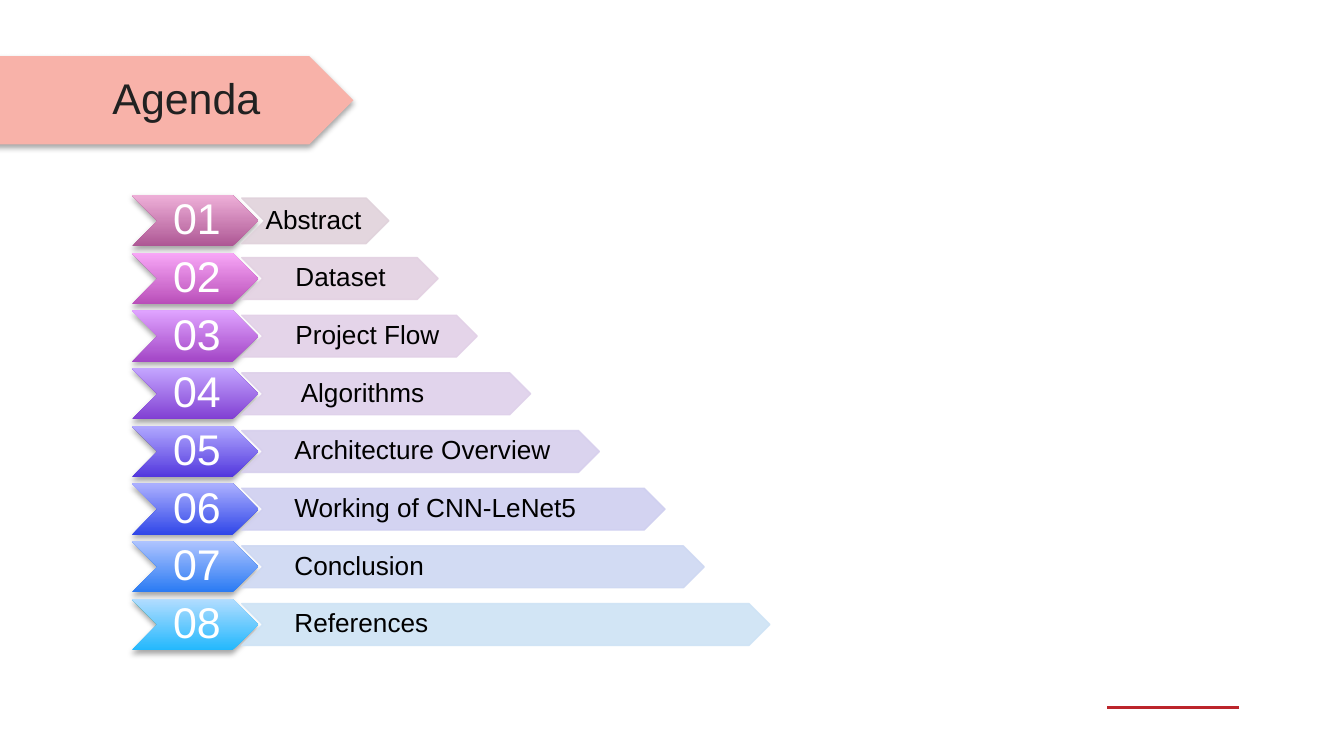
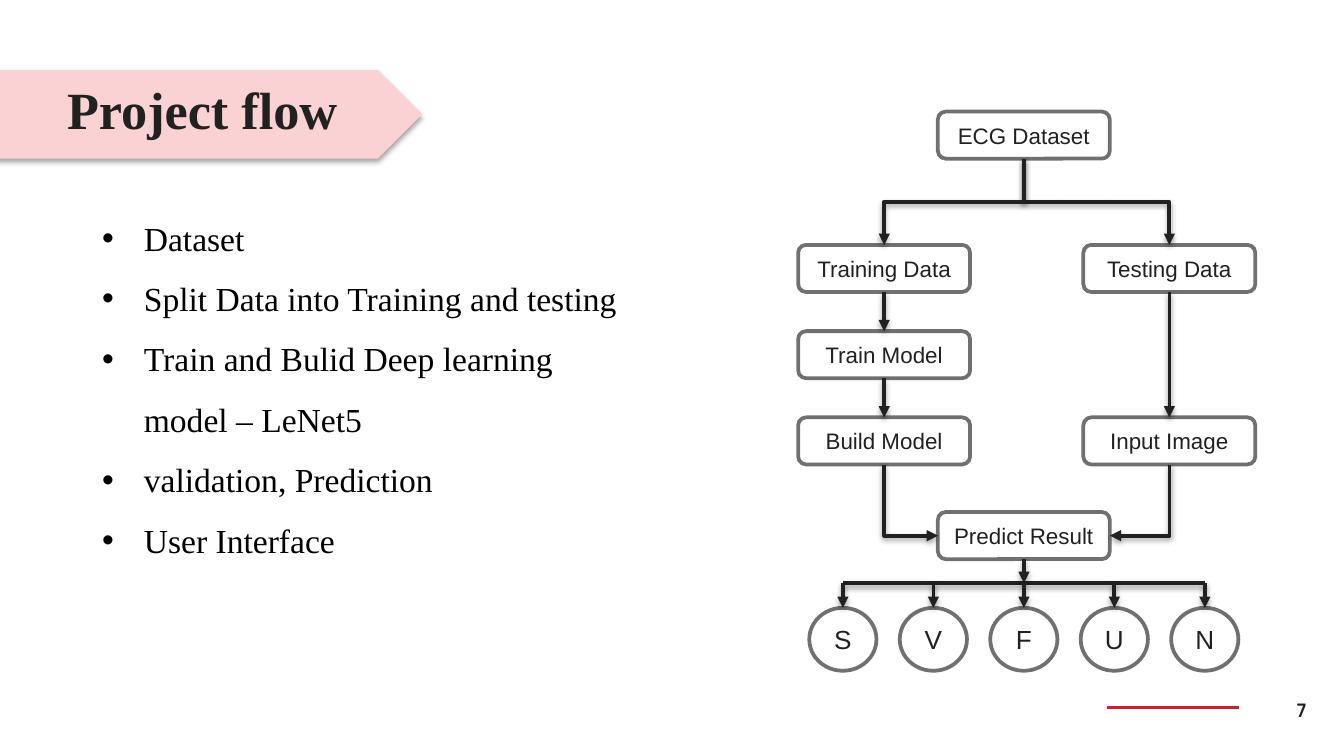
from dataclasses import dataclass

from lxml import etree
from pptx import Presentation
from pptx.dml.color import RGBColor
from pptx.enum.shapes import MSO_CONNECTOR, MSO_SHAPE
from pptx.enum.text import MSO_ANCHOR, PP_ALIGN
from pptx.oxml.ns import qn
from pptx.util import Cm, Pt

CHEVRON = MSO_SHAPE.CHEVRON
STEP = MSO_SHAPE.FLOWCHART_ALTERNATE_PROCESS
DISC = MSO_SHAPE.FLOWCHART_CONNECTOR
STRAIGHT, ELBOW = MSO_CONNECTOR.STRAIGHT, MSO_CONNECTOR.ELBOW
LEFT, CENTER, RIGHT = PP_ALIGN.LEFT, PP_ALIGN.CENTER, PP_ALIGN.RIGHT
TOP, MIDDLE = MSO_ANCHOR.TOP, MSO_ANCHOR.MIDDLE


@dataclass(frozen=True)
class Theme:
    ink: str = "212121"
    black: str = "000000"
    white: str = "FFFFFF"
    edge: str = "707070"
    rule: str = "BC252B"
    coral: str = "F8B2A9"
    pink: str = "FBD2D3"
    sans: str = "Arial"
    serif: str = "Times New Roman"
    page: str = "Manrope"
    head: int = 28
    num: int = 23
    body: int = 18
    label: int = 14
    node: int = 12
    foot: int = 10


T = Theme()

# Content: label, bar width, bar height, text inset, dark, light, bar colour
AGENDA = [
    ("Abstract", 2.78, 0.86, 0.02, "AD5794", "EEAFD8", "E0D2DB"),
    ("Dataset", 3.71, 0.79, 0.62, "B94FB9", "F8A7F7", "E3D1E2"),
    ("Project Flow", 4.45, 0.79, 0.62, "A346C6", "DFA3FF", "E2D0E7"),
    ("Algorithms", 5.46, 0.79, 0.72, "803ED2", "C4A6FF", "DED0EA"),
    ("Architecture Overview", 6.76, 0.79, 0.6, "5237DD", "B1A9FF", "D7CFED"),
    ("Working of CNN-LeNet5", 8.0, 0.79, 0.6, "3046E8", "ACB1FF", "CFCFF0"),
    ("Conclusion", 8.74, 0.79, 0.6, "297AF3", "AFC4FF", "CED8F2"),
    ("References", 9.98, 0.79, 0.6, "23B8FD", "B3DDFF", "CEE3F5"),
]
POINTS = [
    "Dataset",
    "Split Data into Training and testing",
    "Train and Bulid Deep learning model – LeNet5",
    "validation, Prediction",
    "User Interface",
]
# Flow steps: name, centre x, top
COL_A, MID, COL_B = 16.71, 19.35, 22.1
STEPS = [
    ("ECG Dataset", MID, 2.11),
    ("Training Data", COL_A, 4.63),
    ("Testing Data", COL_B, 4.63),
    ("Train Model", COL_A, 6.26),
    ("Build Model", COL_A, 7.89),
    ("Input Image", COL_B, 7.89),
    ("Predict Result", MID, 9.68),
]
LINKS = [
    ("Training Data", "Train Model"),
    ("Train Model", "Build Model"),
    ("Testing Data", "Input Image"),
]
BEATS = "SVFUN"
STEP_W, STEP_H = 3.25, 0.89
DISC_W, DISC_H, DISC_TOP, DISC_GAP = 1.27, 1.19, 11.49, 1.71
BAR_Y = 11.02


def rgb(code):
    return RGBColor.from_string(code)


def put(item, vals):
    for key, val in vals.items():
        setattr(item, key, val)


def cast(item, alpha=35, dist=1.8):
    """Give an item a soft shadow, or none when alpha is 0."""
    fx = etree.SubElement(item.element.spPr, qn("a:effectLst"))
    if alpha:
        shade = etree.SubElement(fx, qn("a:outerShdw"), blurRad=str(Pt(3.1)),
                                 dist=str(Pt(dist)), dir="5400000",
                                 algn="t", rotWithShape="0")
        tone = etree.SubElement(shade, qn("a:srgbClr"), val=T.black)
        etree.SubElement(tone, qn("a:alpha"), val=str(alpha * 1000))


def write(item, lines, size, font=T.sans, color=T.ink, bold=False,
          align=LEFT, anchor=MIDDLE, pad=(0, 0, 0, 0), space=None, bullet=False):
    frame = item.text_frame
    left, top, right, base = (Cm(p) for p in pad)
    put(frame, dict(word_wrap=True, vertical_anchor=anchor, margin_left=left,
                    margin_top=top, margin_right=right, margin_bottom=base))
    for i, text in enumerate(lines):
        para = frame.add_paragraph() if i else frame.paragraphs[0]
        put(para, dict(alignment=align, line_spacing=space))
        if bullet:
            props = para._p.get_or_add_pPr()
            hang = str(Cm(0.79))
            props.set("marL", hang)
            props.set("indent", "-" + hang)
            tint = etree.SubElement(props, qn("a:buClr"))
            etree.SubElement(tint, qn("a:srgbClr"), val=T.black)
            etree.SubElement(props, qn("a:buFont"), typeface=T.sans)
            etree.SubElement(props, qn("a:buChar"), char="•")
        run = para.add_run()
        run.text = text
        put(run.font, dict(size=Pt(size), name=font, bold=bold))
        run.font.color.rgb = rgb(color)


def shape(slide, kind, box, fill=None, edge=None, width=0.75):
    item = slide.shapes.add_shape(kind, *(Cm(v) for v in box))
    if fill:
        item.fill.solid()
        item.fill.fore_color.rgb = rgb(fill)
    if edge:
        item.line.color.rgb = rgb(edge)
        item.line.width = Pt(width)
    else:
        item.line.fill.background()
    return item


def line(slide, kind, x1, y1, x2, y2, color=T.ink, width=2):
    item = slide.shapes.add_connector(kind, *(Cm(v) for v in (x1, y1, x2, y2)))
    item.line.color.rgb = rgb(color)
    item.line.width = Pt(width)
    return item


def arrow(slide, x1, y1, x2, y2, head=True, kind=STRAIGHT):
    item = line(slide, kind, x1, y1, x2, y2)
    if head:
        etree.SubElement(item.line._get_or_add_ln(), qn("a:tailEnd"), type="triangle")
    cast(item, 38, 1.6)
    return item


def bend(slide, x1, y1, x2, y2, turns):
    """Elbow arrow that leaves downwards and makes one or two turns."""
    run, drop = abs(x2 - x1), y2 - y1
    left, top = (x1 + x2 - drop) / 2, (y1 + y2 - run) / 2
    item = arrow(slide, left, top, left + drop, top + run, kind=ELBOW)
    right = x2 > x1
    put(item.element.spPr.xfrm, dict(rot=270 if right else 90, flipH=right))
    geom = item.element.spPr.find(qn("a:prstGeom"))
    geom.set("prst", f"bentConnector{turns + 1}")


def start(deck, title, box, fill, **text):
    """New slide with the shared title band and footer rule."""
    slide = deck.slides.add_slide(deck.slide_layouts[6])
    cast(line(slide, STRAIGHT, 23.42, 13.38, 20.93, 13.38, T.rule, 1.5), 0)
    band = shape(slide, CHEVRON, box, fill)
    cast(band)
    write(band, [title], **text)
    return slide


def agenda(deck):
    slide = start(deck, "Agenda", (-2.08, 1.06, 8.76, 1.67), T.coral,
                  size=T.num, pad=(3.37, 0.05, 0, 0.05), space=0.9)
    high, pitch = 0.97, 1.09
    for i, (name, wide, tall, inset, dark, light, tint) in enumerate(AGENDA):
        top = 3.69 + i * pitch
        # Number chevron
        mark = shape(slide, CHEVRON, (2.49, top, 2.39, high))
        mark.fill.gradient()
        mark.fill.gradient_angle = 90
        for spot, (stop, code) in enumerate(zip(mark.fill.gradient_stops, (dark, light))):
            stop.color.rgb = rgb(code)
            stop.position = spot
        cast(mark)
        write(mark, [f"{i + 1:02}"], T.num, color=T.white, align=CENTER,
              pad=(0.08, 0.05, 0, 0.05), space=0.9)
        # Label bar, centred on the number
        bar = shape(slide, CHEVRON, (4.57, top + (high - tall) / 2, wide, tall),
                    tint, tint)
        for tone in bar.element.spPr.iter(qn("a:srgbClr")):
            etree.SubElement(tone, qn("a:alpha"), val="90000")
        cast(bar, 0)
        write(bar, [name], T.label, color=T.black,
              pad=(inset, 0.03, 0, 0.03), space=0.9)


def flow(deck):
    slide = start(deck, "Project flow", (-1.55, 1.32, 9.53, 1.68), T.pink,
                  size=T.head, font=T.serif, bold=True, pad=(1.98, 0, 0, 0.23))
    # Page number and bullet list
    page = slide.shapes.add_textbox(Cm(23.42), Cm(13), Cm(1.52), Cm(0.86))
    write(page, ["7"], T.foot, T.page, bold=True, align=RIGHT, anchor=TOP,
          pad=(0.25,) * 4)
    notes = slide.shapes.add_textbox(Cm(1.68), Cm(3.6), Cm(10.46), Cm(7.04))
    write(notes, POINTS, T.body, T.serif, T.black, anchor=TOP,
          pad=(0.25, 0.13, 0.25, 0.13), space=1.5, bullet=True)

    # Steps and result discs
    def node(kind, text, mid, top, wide, high, size):
        item = shape(slide, kind, (mid - wide / 2, top, wide, high),
                     T.white, T.edge, 2)
        cast(item, 0)
        write(item, [text], size, align=CENTER)
        return item

    nodes = {name: node(STEP, name, mid, top, STEP_W, STEP_H, T.node)
             for name, mid, top in STEPS}
    spots = {name: (mid, top) for name, mid, top in STEPS}
    mids = [MID + (i - 2) * DISC_GAP for i in range(len(BEATS))]
    discs = [node(DISC, beat, mid, DISC_TOP, DISC_W, DISC_H, T.label)
             for beat, mid in zip(BEATS, mids)]

    # Straight arrows between steps
    for src, dst in LINKS:
        (x1, y1), (x2, y2) = spots[src], spots[dst]
        link = arrow(slide, x1, y1 + STEP_H, x2, y2)
        link.begin_connect(nodes[src], 2)
        link.end_connect(nodes[dst], 0)

    # Result bar with its drops
    arrow(slide, mids[-1], BAR_Y, mids[0], BAR_Y, head=False)
    base = spots["Predict Result"][1] + STEP_H
    arrow(slide, MID, base, MID, BAR_Y).begin_connect(nodes["Predict Result"], 2)
    for mid, disc in zip(mids, discs):
        arrow(slide, mid, BAR_Y, mid, DISC_TOP).end_connect(disc, 0)

    # Elbows into the result and out of the dataset
    goal = spots["Predict Result"][1] + STEP_H / 2
    for name, side in (("Build Model", -1), ("Input Image", 1)):
        x, y = spots[name]
        bend(slide, x, y + STEP_H, MID + side * STEP_W / 2, goal, 1)
    for name in ("Testing Data", "Training Data"):
        bend(slide, MID, spots["ECG Dataset"][1] + STEP_H, *spots[name], 2)


def main():
    deck = Presentation()
    put(deck, dict(slide_width=Cm(25.4), slide_height=Cm(14.29)))
    agenda(deck)
    flow(deck)
    deck.save("out.pptx")


if __name__ == "__main__":
    main()
